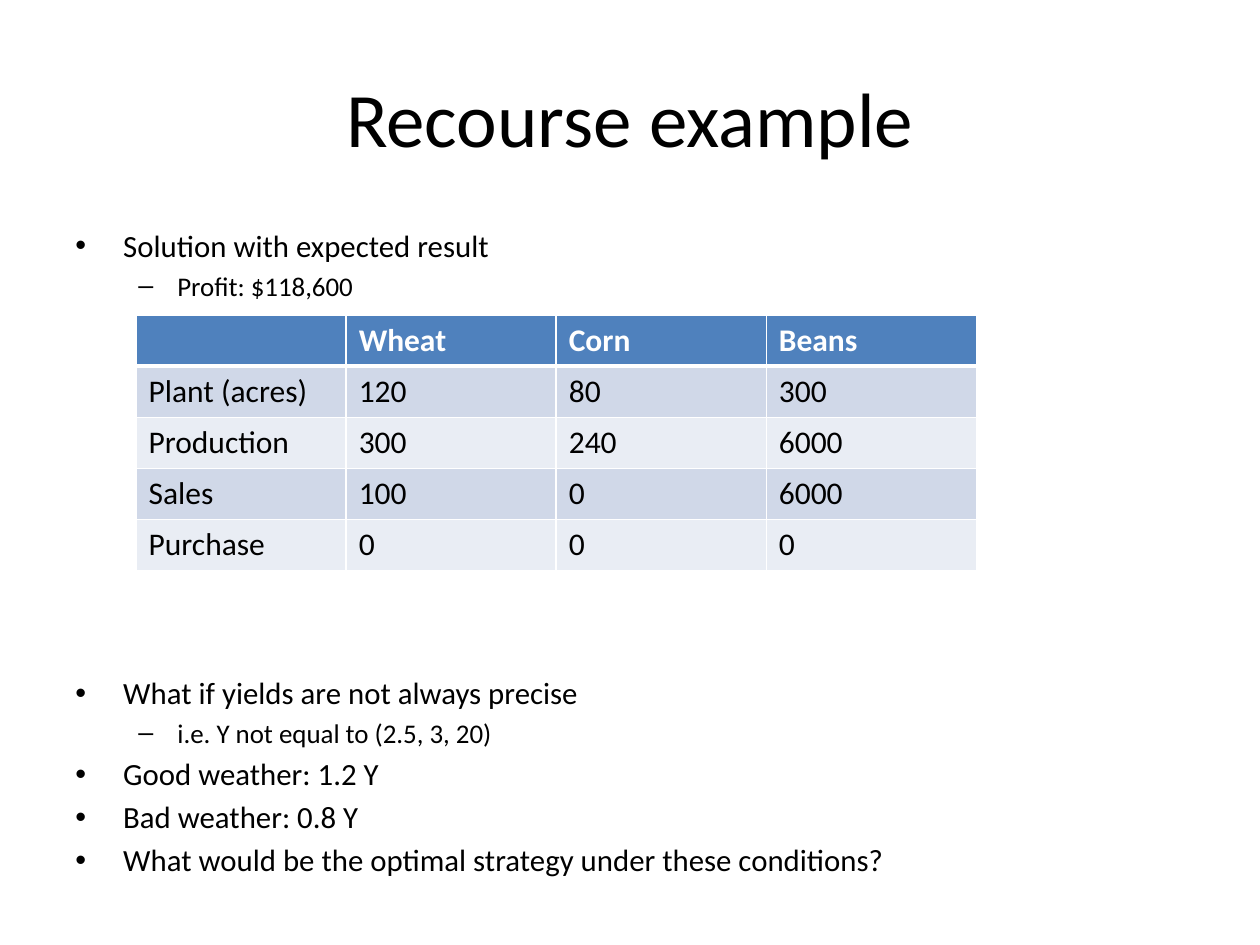
from dataclasses import dataclass

from lxml.etree import SubElement
from pptx import Presentation
from pptx.dml.color import RGBColor
from pptx.enum.text import MSO_ANCHOR as Anchor, PP_ALIGN as Align
from pptx.oxml import parse_xml
from pptx.oxml.ns import nsdecls, qn
from pptx.util import Inches, Pt


@dataclass(frozen=True)
class Theme:
    font: str = "Calibri"
    text: str = "000000"
    white: str = "FFFFFF"
    header: str = "4F81BD"
    bands: tuple = ("D0D8E8", "E9EDF4")
    title_size: float = 44
    table_size: float = 18
    thin_border: float = 1
    thick_border: float = 3


@dataclass(frozen=True)
class BulletLevel:
    mark: str
    size: float
    space_before: float
    left: float
    hanging: float


THEME = Theme()
LEVELS = (
    BulletLevel("•", 17.6, 3.5, 0.38, 0.38),
    BulletLevel("–", 15.4, 3.1, 0.81, 0.31),
)
TABLE_GAP = 213  # points of space that leave room for the table

# Level, text and, where it differs from the level's own, the space before
BULLETS = (
    (0, "Solution with expected result", 0),
    (1, "Proﬁt: $118,600", None),
    (0, "What if yields are not always precise", TABLE_GAP),
    (1, "i.e. Y not equal to (2.5, 3, 20)", None),
    (0, "Good weather: 1.2 Y", None),
    (0, "Bad weather: 0.8 Y", None),
    (0, "What would be the optimal strategy under these conditions?", None),
)
CROP_ROWS = (
    ("", "Wheat", "Corn", "Beans"),
    ("Plant (acres)", "120", "80", "300"),
    ("Production", "300", "240", "6000"),
    ("Sales", "100", "0", "6000"),
    ("Purchase", "0", "0", "0"),
)


def write_text(paragraph, text, size, color=THEME.text, bold=False):
    run = paragraph.add_run()
    run.text = text
    formats = {"name": THEME.font, "size": Pt(size), "bold": bold}
    for name, value in formats.items():
        setattr(run.font, name, value)
    run.font.color.rgb = RGBColor.from_string(color)


def add_text_frame(slide, left, top, width, height, anchor):
    box = slide.shapes.add_textbox(
        Inches(left), Inches(top), Inches(width), Inches(height))
    frame = box.text_frame
    frame.word_wrap = True
    frame.vertical_anchor = anchor
    return frame


def add_title(slide, text):
    frame = add_text_frame(slide, 0.5, 0.3, 9, 1.25, Anchor.MIDDLE)
    paragraph = frame.paragraphs[0]
    paragraph.alignment = Align.CENTER
    write_text(paragraph, text, THEME.title_size)


def set_bullet(paragraph, level):
    properties = paragraph._p.get_or_add_pPr()
    properties.set("marL", str(Inches(level.left)))
    properties.set("indent", str(-Inches(level.hanging)))
    SubElement(properties, qn("a:buFont")).set("typeface", "Arial")
    SubElement(properties, qn("a:buChar")).set("char", level.mark)


def add_bullets(slide, bullets):
    frame = add_text_frame(slide, 0.5, 1.75, 9, 4.95, Anchor.TOP)
    for index, (depth, text, space) in enumerate(bullets):
        paragraph = frame.add_paragraph() if index else frame.paragraphs[0]
        level = LEVELS[depth]
        paragraph.level = depth
        paragraph.space_before = Pt(level.space_before if space is None else space)
        set_bullet(paragraph, level)
        write_text(paragraph, text, level.size)


def set_borders(cell, **widths):
    """Draw white borders; widths are points by side: L, R, T and B."""
    properties = cell._tc.get_or_add_tcPr()
    for position, (side, width) in enumerate(widths.items()):
        line = parse_xml(
            f'<a:ln{side} {nsdecls("a")} w="{Pt(width)}"><a:solidFill>'
            f'<a:srgbClr val="{THEME.white}"/></a:solidFill></a:ln{side}>')
        properties.insert(position, line)


def add_crop_table(slide, rows):
    table = slide.shapes.add_table(
        len(rows), len(rows[0]),
        Inches(1.08), Inches(2.5), Inches(6.67), Inches(2.03)).table
    thin, thick = THEME.thin_border, THEME.thick_border
    for row_index, row in enumerate(rows):
        is_header = row_index == 0
        fill = THEME.header if is_header else THEME.bands[(row_index - 1) % 2]
        color = THEME.white if is_header else THEME.text
        for column_index, text in enumerate(row):
            cell = table.cell(row_index, column_index)
            cell.fill.solid()
            cell.fill.fore_color.rgb = RGBColor.from_string(fill)
            set_borders(cell, L=thin, R=thin,
                        T=thick if row_index == 1 else thin,
                        B=thick if is_header else thin)
            if text:
                write_text(cell.text_frame.paragraphs[0], text,
                           THEME.table_size, color, is_header)


def main():
    presentation = Presentation()
    presentation.slide_width = Inches(10)
    presentation.slide_height = Inches(7.5)
    slide = presentation.slides.add_slide(presentation.slide_layouts[6])
    add_title(slide, "Recourse example")
    add_bullets(slide, BULLETS)
    add_crop_table(slide, CROP_ROWS)
    presentation.save("out.pptx")


if __name__ == "__main__":
    main()
